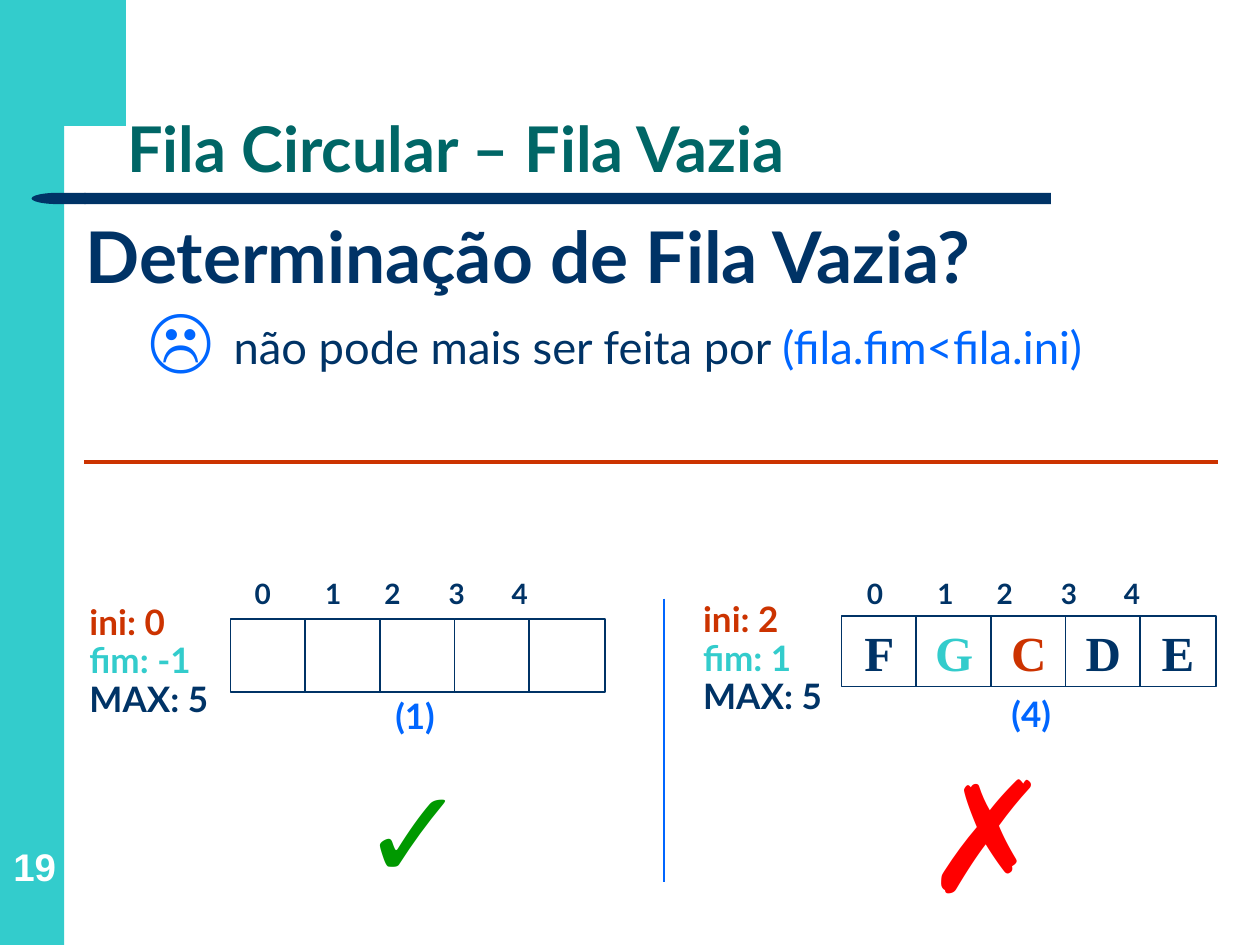
from lxml.etree import SubElement
from pptx import Presentation
from pptx.dml.color import RGBColor
from pptx.enum.shapes import MSO_CONNECTOR, MSO_SHAPE as Shape
from pptx.enum.text import MSO_ANCHOR as Anchor, PP_ALIGN as Align
from pptx.oxml.ns import qn
from pptx.util import Inches, Pt

TEAL = RGBColor(0x33, 0xCC, 0xCC)
NAVY = RGBColor(0x00, 0x33, 0x66)
DARK_GREEN = RGBColor(0x00, 0x66, 0x66)
BLUE = RGBColor(0x00, 0x66, 0xFF)
RUST = RGBColor(0xCC, 0x33, 0x00)
GREEN = RGBColor(0x00, 0x99, 0x00)
RED = RGBColor(0xFF, 0x00, 0x00)
WHITE = RGBColor(0xFF, 0xFF, 0xFF)

CELL_WIDTH = 0.6
CELL_STEP = 2.37 / 4
INDEX_TABS = (0.56, 1.03, 1.54, 2.04)
NO_MARGINS = (0, 0, 0, 0)
TEXT_MARGINS = (0.1, 0.05, 0.1, 0.05)
LABEL_MARGINS = (0.08, 0.08, 0.08, 0.08)


def style_shape(shape, fill, line=None):
    shape.shadow.inherit = False
    shape.fill.solid()
    shape.fill.fore_color.rgb = fill
    if line is None:
        shape.line.fill.background()
    else:
        shape.line.color.rgb = line
        shape.line.width = Pt(1)


def add_box(slide, kind, box, fill, line=None):
    shape = slide.shapes.add_shape(kind, *map(Inches, box))
    style_shape(shape, fill, line)
    return shape


def set_frame(frame, margins, anchor=Anchor.TOP):
    frame.word_wrap = True
    frame.vertical_anchor = anchor
    (frame.margin_left, frame.margin_top,
     frame.margin_right, frame.margin_bottom) = map(Inches, margins)


def add_text(slide, box, margins, anchor=Anchor.TOP):
    frame = slide.shapes.add_textbox(*map(Inches, box)).text_frame
    set_frame(frame, margins, anchor)
    return frame


def add_run(paragraph, text, size, color, font="Lato", bold=True):
    run = paragraph.add_run()
    run.text = text
    run.font.size = Pt(size)
    run.font.name = font
    run.font.bold = bold
    run.font.color.rgb = color


def space(paragraph, line, before=0, after=0):
    paragraph.line_spacing = line
    paragraph.space_before = Pt(before)
    paragraph.space_after = Pt(after)


def hang(paragraph, indent, hanging):
    properties = paragraph._p.get_or_add_pPr()
    properties.set("marL", str(Inches(indent)))
    properties.set("indent", str(-Inches(hanging)))


def set_tabs(paragraph, stops):
    tabs = SubElement(paragraph._p.get_or_add_pPr(), qn("a:tabLst"))
    for stop in stops:
        SubElement(tabs, qn("a:tab"), pos=str(Inches(stop)), algn="l")


def add_line(slide, start, end, color, width):
    line = slide.shapes.add_connector(
        MSO_CONNECTOR.STRAIGHT, *map(Inches, start + end))
    line.line.color.rgb = color
    line.line.width = Pt(width)
    SubElement(line._element.spPr, qn("a:effectLst"))


def add_mark(slide, box, text, size, color, gap, font="Lato"):
    """Centred caption or symbol below a queue."""
    paragraph = add_text(slide, box, LABEL_MARGINS).paragraphs[0]
    paragraph.alignment = Align.CENTER
    space(paragraph, 0.5, gap, gap)
    add_run(paragraph, text, size, color, font)


def add_frame(slide):
    add_box(slide, Shape.RECTANGLE, (0, 0.02, 0.51, 7.5), TEAL)
    # Top band with a rounded inner corner
    outline = [(3.83, 0.44), (0.86, 0.44), (0.76, 0.45), (0.69, 0.46),
               (0.62, 0.49), (0.58, 0.52), (0.54, 0.55), (0.52, 0.58),
               (0.51, 0.62), (0.51, 0.68), (0.09, 0.68), (0.09, 0)]
    builder = slide.shapes.build_freeform(3.83, 0, scale=Inches(1))
    builder.add_line_segments(outline, close=True)
    style_shape(builder.convert_to_shape(), TEAL)
    # Title rule with a rounded left end
    rule = add_box(slide, Shape.ROUNDED_RECTANGLE, (0.67, 1.53, 7.67, 0.09), NAVY)
    rule.adjustments[0] = 0
    tip = add_box(slide, Shape.FLOWCHART_DELAY, (0.25, 1.53, 0.43, 0.09), NAVY)
    tip.rotation = 180
    # Slide number
    number = add_text(slide, (0.03, 6.52, 0.49, 0.54), NO_MARGINS, Anchor.BOTTOM)
    number.paragraphs[0].alignment = Align.CENTER
    add_run(number.paragraphs[0], "19", 22, WHITE, "Arial")


def add_heading(slide):
    title = add_text(slide, (0.91, 0.44, 8.51, 1.09), TEXT_MARGINS,
                     Anchor.BOTTOM).paragraphs[0]
    space(title, 0.9)
    add_run(title, "Fila Circular – Fila Vazia", 36, DARK_GREEN)

    body = add_text(slide, (0.58, 1.77, 9.19, 1.67), TEXT_MARGINS)
    question = body.paragraphs[0]
    hang(question, 0.67, 0.67)
    space(question, 0.8, 11)
    add_run(question, "Determinação de Fila Vazia?", 40.7, NAVY)
    answer = body.add_paragraph()
    answer.level = 1
    hang(answer, 1.08, 0.58)
    space(answer, 0.8, 7)
    add_run(answer, "☹ ", 40.7, BLUE, "Arial")
    add_run(answer, "não pode mais ser feita por ", 25.9, NAVY, bold=False)
    add_run(answer, "(fila.fim<fila.ini)", 25.9, BLUE, bold=False)


def add_queue(slide, left, top, height, items, index_left):
    for position, (letter, color) in enumerate(items):
        cell = add_box(slide, Shape.RECTANGLE,
                       (left + position * CELL_STEP, top, CELL_WIDTH, height),
                       WHITE, NAVY)
        if letter:
            set_frame(cell.text_frame, TEXT_MARGINS)
            paragraph = cell.text_frame.paragraphs[0]
            paragraph.alignment = Align.CENTER
            add_run(paragraph, letter, 28, color, "Times New Roman")
    # Indexes above the cells
    indexes = add_text(slide, (index_left, 4.69, 2.81, 0.31),
                       NO_MARGINS).paragraphs[0]
    space(indexes, 0.5, 4, 4)
    set_tabs(indexes, INDEX_TABS)
    add_run(indexes, "\t".join(map(str, range(len(items)))), 16, NAVY)


def add_state(slide, left, top, start, end):
    frame = add_text(slide, (left, top, 1.25, 0.67), (0, 0.08, 0, 0))
    lines = [(f"ini: {start}", RUST), (f"fim: {end}", TEAL), ("MAX: 5", NAVY)]
    for number, (text, color) in enumerate(lines):
        paragraph = frame.add_paragraph() if number else frame.paragraphs[0]
        space(paragraph, 0.5, 5, 5)
        add_run(paragraph, text, 20, color)


def main():
    presentation = Presentation()
    presentation.slide_width = Inches(10)
    presentation.slide_height = Inches(7.5)
    slide = presentation.slides.add_slide(presentation.slide_layouts[6])

    add_frame(slide)
    add_heading(slide)

    # Dividers
    add_line(slide, (0.67, 3.67), (9.67, 3.67), RUST, 2.25)
    add_line(slide, (5.27, 4.75), (5.27, 7), BLUE, 0.75)

    # Empty queue
    add_queue(slide, 1.83, 4.91, 0.58, [("", NAVY)] * 5, 2.02)
    add_state(slide, 0.71, 4.83, 0, -1)
    add_mark(slide, (2.96, 5.58, 0.67, 0.42), "(1)", 20, BLUE, 5)
    add_mark(slide, (2.75, 6.42, 1.08, 0.75), "✓", 72, GREEN, 18, "Arial")

    # Full queue
    full = [("F", NAVY), ("G", TEAL), ("C", RUST), ("D", NAVY), ("E", NAVY)]
    add_queue(slide, 6.68, 4.89, 0.56, full, 6.88)
    add_state(slide, 5.58, 4.81, 2, 1)
    add_mark(slide, (7.85, 5.56, 0.67, 0.42), "(4)", 20, BLUE, 5)
    add_mark(slide, (7.25, 6.42, 1.08, 0.75), "✗", 88, RED, 22, "Arial")

    presentation.save("out.pptx")


if __name__ == "__main__":
    main()
